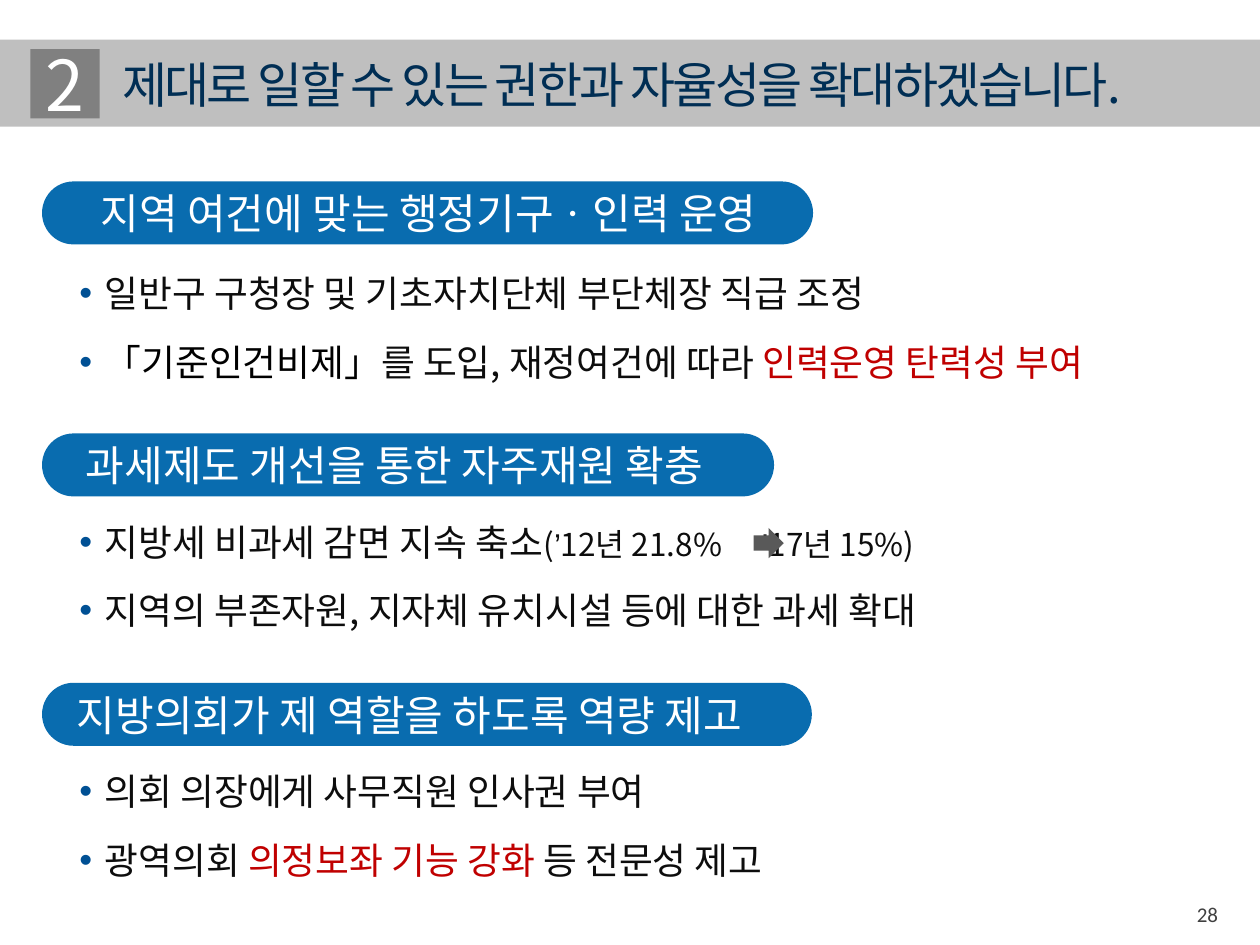
from lxml.etree import SubElement
from pptx import Presentation
from pptx.dml.color import RGBColor
from pptx.enum.shapes import MSO_SHAPE
from pptx.enum.text import MSO_ANCHOR, MSO_AUTO_SIZE, PP_ALIGN
from pptx.oxml.ns import qn
from pptx.util import Pt

COLORS = {
    "blue": "096CAF", "bullet": "005094", "navy": "002E54", "band": "BFBFBF",
    "badge": "808080", "arrow": "595959", "white": "FFFFFF", "text": "0D0D0D",
    "black": "000000", "red": "C00000", "page": "404040",
}
FONT = "Noto Sans CJK KR"
LEFT = 24
PILL_H = 36

# Runs are (text, overrides of the list format)
ITEM = {"size": 21, "color": "text"}
QUOTE = {"font": "Arial", "color": "black"}
SMALL = {"size": 18}
SMALL_QUOTE = {"size": 18, "font": "Arial"}
ARROW_GAP = {"size": 18, "spacing": 18.5}  # room for the arrow between the years
RED = {"color": "red"}

SECTIONS = [
    {"heading": "지역 여건에 맞는 행정기구ㆍ인력 운영", "align": PP_ALIGN.CENTER,
     "pill": (103.7, 440.6), "label": (43.9, 401.8), "list": (154.8, 593.3),
     "items": [
         [("일반구 구청장 및 기초자치단체 부단체장 직급 조정", {})],
         [("「", QUOTE), ("기준인건비제", {"color": "black"}), ("」", QUOTE),
          ("를 도입, 재정여건에 따라 ", {}), ("인력운영 탄력성 부여", RED)]]},
    {"heading": "과세제도 개선을 통한 자주재원 확충", "align": PP_ALIGN.LEFT,
     "pill": (247.7, 418.3), "label": (49, 368.6), "list": (296.6, 499.7),
     "items": [
         [("지방세 비과세 감면 지속 축소", {}), ("(", SMALL), ("’", SMALL_QUOTE),
          ("12년 21.8%", SMALL), (" ", ARROW_GAP),
          ("’", SMALL_QUOTE), ("17년 15%)", SMALL)],
         [("지역의 부존자원, 지자체 유치시설 등에 대한 과세 확대", {})]]},
    {"heading": "지방의회가 제 역할을 하도록 역량 제고", "align": PP_ALIGN.LEFT,
     "pill": (390.2, 439.9), "label": (43.9, 399.6), "list": (439.2, 418.3),
     "items": [
         [("의회 의장에게 사무직원 인사권 부여", {})],
         [("광역의회 ", {}), ("의정보좌 기능 강화 ", RED), ("등 전문성 제고", {})]]},
]


def rgb(name):
    return RGBColor.from_string(COLORS[name])


def place(sp, x, y, w, h):
    box = {"left": x, "top": y, "width": w, "height": h}
    for name, value in box.items():
        setattr(sp, name, Pt(value))


def format_frame(tf, inset=None, **values):
    if inset is not None:
        for side in ("left", "top", "right", "bottom"):
            setattr(tf, f"margin_{side}", Pt(inset))
    for name, value in values.items():
        setattr(tf, name, value)


def add_run(p, text, size, color, font=FONT, spacing=None):
    r = p.add_run()
    r.text = text
    for name, value in {"size": Pt(size), "name": font, "bold": False}.items():
        setattr(r.font, name, value)
    r.font.color.rgb = rgb(color)
    rPr = r.font._element
    SubElement(rPr, qn("a:ea")).set("typeface", font)
    if spacing is not None:
        rPr.set("spc", str(round(spacing * 100)))


def add_bullet(p):
    p.space_before = Pt(14)
    pPr = p._p.get_or_add_pPr()
    pPr.set("marL", str(Pt(14.4)))
    pPr.set("indent", str(-Pt(14.4)))
    clr = SubElement(pPr, qn("a:buClr"))
    SubElement(clr, qn("a:srgbClr")).set("val", COLORS["bullet"])
    SubElement(pPr, qn("a:buFont")).set("typeface", "Arial")
    SubElement(pPr, qn("a:buChar")).set("char", "•")


def add_block(s, kind, box, color):
    sp = s.shapes.add_shape(kind, *map(Pt, box))
    sp.shadow.inherit = False
    sp.fill.solid()
    sp.fill.fore_color.rgb = rgb(color)
    sp.line.fill.background()
    return sp


def add_label(s, box, text, size, color, font=FONT, align=PP_ALIGN.LEFT, **frame):
    sp = s.shapes.add_textbox(*map(Pt, box))
    format_frame(sp.text_frame, auto_size=MSO_AUTO_SIZE.SHAPE_TO_FIT_TEXT, **frame)
    p = sp.text_frame.paragraphs[0]
    p.alignment = align
    add_run(p, text, size, color, font)


def fill_title(s, text):
    sp = s.shapes.title
    place(sp, 62.6, 27.4, 618.5, 41)
    tf = sp.text_frame
    format_frame(tf, word_wrap=False, vertical_anchor=MSO_ANCHOR.TOP,
                 auto_size=MSO_AUTO_SIZE.SHAPE_TO_FIT_TEXT)
    p = tf.paragraphs[0]
    p.alignment = PP_ALIGN.LEFT
    add_run(p, text, 28, "navy", spacing=-1.5)
    s.shapes._spTree.append(sp._element)  # bring in front of the band


def fill_list(sp, top, width, items):
    place(sp, 45.4, top, width, 64.8)
    tf = sp.text_frame
    format_frame(tf, inset=0, word_wrap=False, vertical_anchor=MSO_ANCHOR.MIDDLE,
                 auto_size=MSO_AUTO_SIZE.SHAPE_TO_FIT_TEXT)
    for i, runs in enumerate(items):
        p = tf.add_paragraph() if i else tf.paragraphs[0]
        add_bullet(p)
        for text, changes in runs:
            add_run(p, text, **{**ITEM, **changes})


def add_section(s, body, section):
    top, width = section["pill"]
    pill = add_block(s, MSO_SHAPE.ROUNDED_RECTANGLE, (LEFT, top, width, PILL_H), "blue")
    pill.adjustments[0] = 0.5
    x, w = section["label"]
    add_label(s, (x, top + 3.6, w, 28.8), section["heading"], 24, "white",
              align=section["align"], inset=0, word_wrap=False,
              vertical_anchor=MSO_ANCHOR.MIDDLE)
    fill_list(body, *section["list"], section["items"])


def main():
    prs = Presentation()
    prs.slide_width, prs.slide_height = Pt(720), Pt(540)
    s = prs.slides.add_slide(prs.slide_layouts.get_by_name("Comparison"))
    bodies = [sp for sp in s.placeholders if sp.placeholder_format.idx > 0]

    # Headings with their lists
    for body, section in zip(bodies, SECTIONS):
        add_section(s, body, section)
    for spare in bodies[len(SECTIONS):]:
        s.shapes._spTree.remove(spare._element)
    add_block(s, MSO_SHAPE.RIGHT_ARROW, (430.6, 301.7, 17.3, 17.3), "arrow")

    # Title band with its number
    add_block(s, MSO_SHAPE.RECTANGLE, (0, 22.7, 720, 49.7), "band")
    fill_title(s, "제대로 일할 수 있는 권한과 자율성을 확대하겠습니다.")
    badge = add_block(s, MSO_SHAPE.RECTANGLE, (17.3, 28.1, 39.6, 39.6), "badge")
    badge.text_frame.vertical_anchor = MSO_ANCHOR.MIDDLE
    p = badge.text_frame.paragraphs[0]
    p.alignment = PP_ALIGN.CENTER
    add_run(p, "2", 40, "white")

    # Page number
    add_label(s, (676.8, 511.9, 28.8, 21.6), "28", 12, "page", "Calibri", word_wrap=True)
    prs.save("out.pptx")


if __name__ == "__main__":
    main()
